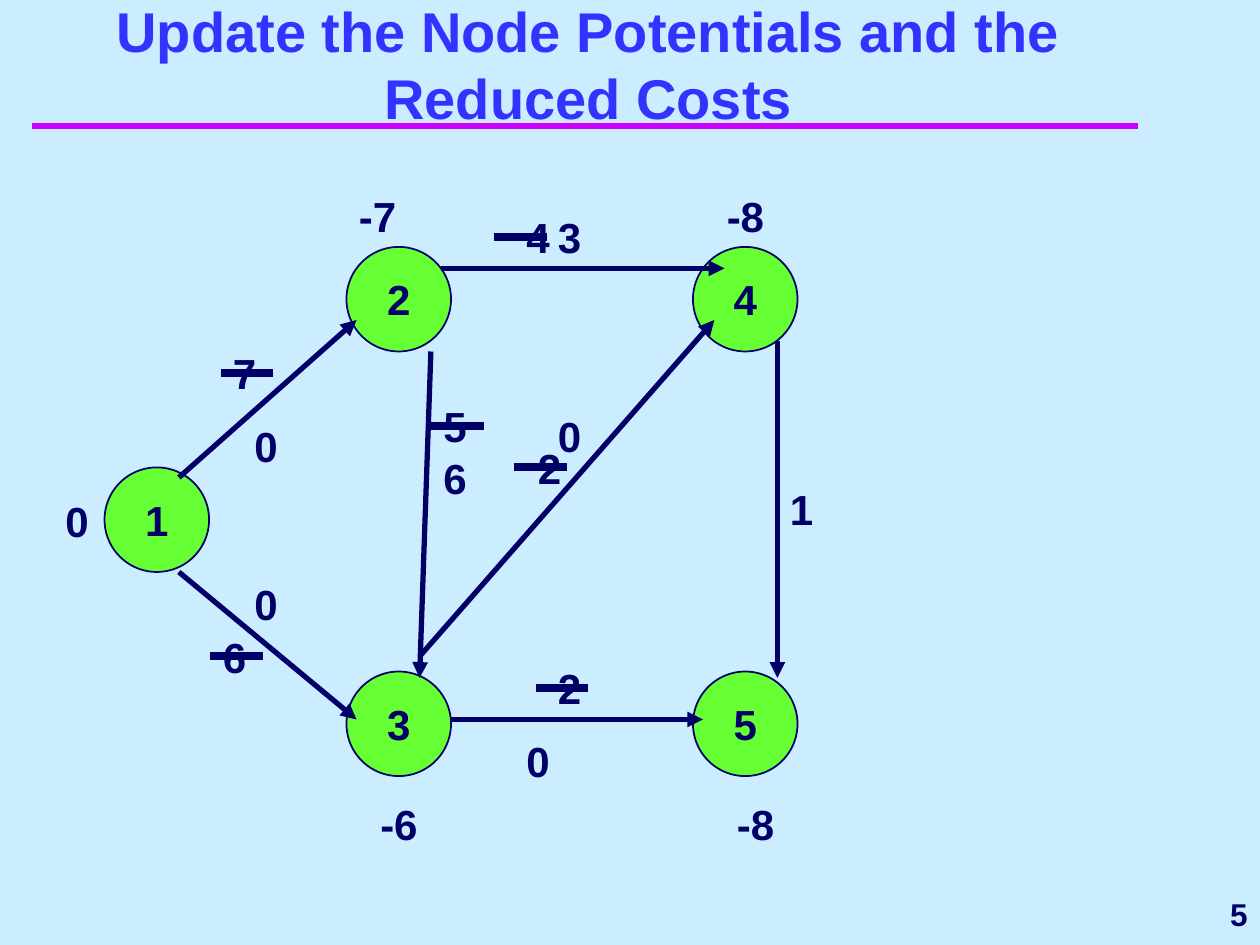
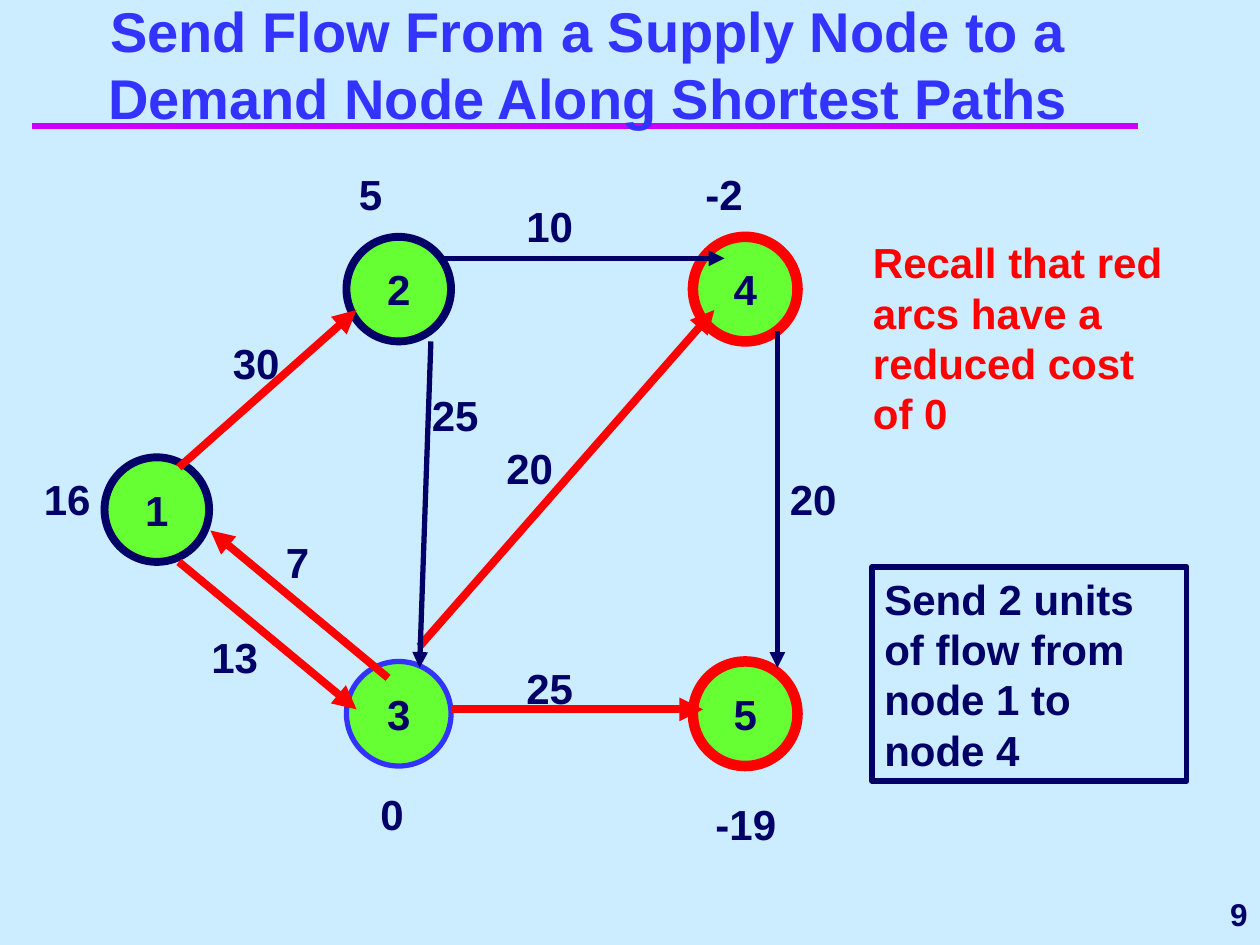
from lxml import etree
from pptx import Presentation
from pptx.dml.color import RGBColor
from pptx.enum.shapes import MSO_CONNECTOR, MSO_SHAPE
from pptx.enum.text import MSO_ANCHOR, PP_ALIGN
from pptx.oxml.ns import qn
from pptx.util import Inches, Pt

STRAIGHT = MSO_CONNECTOR.STRAIGHT
OVAL = MSO_SHAPE.OVAL
RECTANGLE = MSO_SHAPE.RECTANGLE
TOP, MIDDLE, BOTTOM = MSO_ANCHOR.TOP, MSO_ANCHOR.MIDDLE, MSO_ANCHOR.BOTTOM
LEFT, CENTER, RIGHT = PP_ALIGN.LEFT, PP_ALIGN.CENTER, PP_ALIGN.RIGHT

SKY = RGBColor(0xCC, 0xEC, 0xFF)
NAVY = RGBColor(0x00, 0x00, 0x66)
BLUE = RGBColor(0x33, 0x33, 0xFF)
MAGENTA = RGBColor(0xCC, 0x00, 0xFF)
GREEN = RGBColor(0x66, 0xFF, 0x33)
RED = RGBColor(0xFF, 0x00, 0x00)
FONT = "Arial"

NODE_SIZE = 0.83
STRIKE_LENGTH = 0.42
LABEL_HEIGHT = 0.5

NODES = {
    "1": (0, 1.75),
    "2": (1.92, 0),
    "3": (1.92, 3.37),
    "5": (4.67, 3.37),
    "4": (4.67, 0),
}
ARCS = {
    "1-2": (0.59, 1.83, 2, 0.58),
    "2-4": (2.67, 0.17, 4.92, 0.17),
    "4-5": (5.34, 0.75, 5.34, 3.42),
    "3-4": (2.5, 3.25, 4.84, 0.58),
    "1-3": (0.59, 2.58, 2, 3.75),
    "3-5": (2.75, 3.75, 4.75, 3.75),
    "2-3": (2.59, 0.83, 2.5, 3.42),
    "3-1": (2.25, 3.5, 0.84, 2.33),
}
FORWARD_ARCS = [name for name in ARCS if name != "3-1"]

OLD_COSTS = [
    ("4", 3.25, -0.33, 0.42),
    ("1", 5.34, 1.83, 0.42),
    ("2", 3.34, 1.5, 0.58),
    ("2", 3.5, 3.25, 0.58),
    ("5", 2.59, 1.17, 0.67),
    ("6", 0.84, 3, 1.17),
    ("7", 0.92, 0.75, 1.17),
]
POTENTIALS = [
    ("0", -0.41, 1.92, 0.67),
    ("-7", 1.92, -0.5, 0.67),
    ("-8", 4.84, -0.5, 0.67),
    ("-8", 4.92, 4.33, 0.67),
    ("-6", 2.09, 4.33, 0.67),
]
STRIKES = [(0.84, 3.25), (0.92, 1), (2.59, 1.42),
           (3.09, -0.08), (3.25, 1.75), (3.42, 3.5)]
NEW_COSTS = [
    ("0", 1.09, 1.33, 1.17),
    ("0", 1.09, 2.58, 1.17),
    ("0", 3.25, 3.83, 1.17),
    ("0", 3.5, 1.25, 1.17),
    ("6", 2.59, 1.58, 1.17),
    ("3", 3.5, -0.33, 1.17),
]
CAPACITIES = [
    ("10", 3.25, -0.34, 1.17),
    ("20", 5.34, 1.83, 1.17),
    ("20", 3.09, 1.58, 1.17),
    ("25", 3.25, 3.33, 1.17),
    ("25", 2.5, 1.16, 1.17),
    ("30", 0.92, 0.75, 1.17),
    ("13", 0.75, 3.08, 0.67),
    ("7", 1.34, 2.33, 0.67),
]
SUPPLIES = [
    ("5", 1.92, -0.59, 0.75),
    ("-2", 4.67, -0.59, 0.75),
    ("-19", 4.75, 4.41, 0.75),
    ("16", -0.58, 1.83, 0.75),
    ("0", 2.09, 4.33, 0.75),
]
RED_ARCS = {"1-2", "3-4", "1-3", "3-5", "3-1"}
NODE_OUTLINES = {
    "1": (NAVY, 4.5),
    "2": (NAVY, 4.5),
    "3": (BLUE, 3),
    "4": (RED, 6),
    "5": (RED, 6),
}


def write_text(shape, text, size=24, color=NAVY, align=LEFT, anchor=TOP, wrap=True):
    frame = shape.text_frame
    frame.word_wrap = wrap
    frame.vertical_anchor = anchor
    paragraph = frame.paragraphs[0]
    paragraph.alignment = align
    paragraph.text = text
    font = paragraph.font
    font.name, font.size, font.bold = FONT, Pt(size), True
    font.color.rgb = color


def add_text(slide, text, left, top, width, height, **text_format):
    box = slide.shapes.add_textbox(*map(Inches, (left, top, width, height)))
    write_text(box, text, **text_format)


def add_outlined_shape(slide, kind, left, top, width, height, color, weight):
    shape = slide.shapes.add_shape(kind, *map(Inches, (left, top, width, height)))
    shape.shadow.inherit = False
    shape.fill.background()
    shape.line.color.rgb = color
    shape.line.width = Pt(weight)
    return shape


def add_line(slide, start_x, start_y, end_x, end_y, color=NAVY, weight=3, arrow=False):
    ends = map(Inches, (start_x, start_y, end_x, end_y))
    connector = slide.shapes.add_connector(STRAIGHT, *ends)
    connector.line.color.rgb = color
    connector.line.width = Pt(weight)
    properties = connector._element.spPr
    if arrow:
        line = properties.find(qn("a:ln"))
        etree.SubElement(line, qn("a:tailEnd"), type="triangle")
    etree.SubElement(properties, qn("a:effectLst"))


def add_framed_slide(presentation, title, number):
    slide = presentation.slides.add_slide(presentation.slide_layouts[6])
    add_line(slide, 0.25, 1, 9.03, 1, color=MAGENTA, weight=4)
    add_text(slide, number, 8.08, 7, 1.92, 0.5, size=18, align=RIGHT, anchor=MIDDLE)
    add_text(slide, title, 0.42, 0.67, 8.5, 0.42,
             size=32, color=BLUE, align=CENTER, anchor=BOTTOM)
    return slide


def add_network(slide, left, top, arc_names, red_arcs=(), outlines=None):
    for name, (x, y) in NODES.items():
        color, weight = outlines[name] if outlines else (NAVY, 1)
        node = add_outlined_shape(slide, OVAL, left + x, top + y,
                                  NODE_SIZE, NODE_SIZE, color, weight)
        node.fill.solid()
        node.fill.fore_color.rgb = GREEN
        write_text(node, name, align=CENTER, anchor=MIDDLE, wrap=False)
    for name in arc_names:
        start_x, start_y, end_x, end_y = ARCS[name]
        color, weight = (RED, 4.5) if name in red_arcs else (NAVY, 3)
        add_line(slide, left + start_x, top + start_y, left + end_x, top + end_y,
                 color=color, weight=weight, arrow=True)


def add_labels(slide, left, top, labels):
    for text, x, y, width in labels:
        add_text(slide, text, left + x, top + y, width, LABEL_HEIGHT)


def add_strikes(slide, left, top):
    for x, y in STRIKES:
        add_line(slide, left + x, top + y, left + x + STRIKE_LENGTH, top + y, weight=4.5)


def add_flow_notes(slide, left, top):
    add_text(slide, "Recall that red arcs have a reduced cost of 0",
             left, top, 2.67, 1.7, color=RED)
    step = add_outlined_shape(slide, RECTANGLE, left + 0.09, top + 2.67,
                              2.5, 1.7, NAVY, 3)
    write_text(step, "Send 2 units of flow from node 1 to node 4")


def build_potentials_slide(presentation):
    slide = add_framed_slide(
        presentation, "Update the Node Potentials and the Reduced Costs", "5")
    origin = (0.83, 1.96)
    add_network(slide, *origin, FORWARD_ARCS)
    add_labels(slide, *origin, OLD_COSTS + POTENTIALS)
    add_strikes(slide, *origin)
    add_labels(slide, *origin, NEW_COSTS)


def build_flow_slide(presentation):
    slide = add_framed_slide(
        presentation,
        "Send Flow From a Supply Node to a Demand Node Along Shortest Paths", "9")
    origin = (0.83, 1.88)
    add_network(slide, *origin, ARCS, RED_ARCS, NODE_OUTLINES)
    add_labels(slide, *origin, CAPACITIES + SUPPLIES)
    add_flow_notes(slide, 6.83, 1.83)


def main():
    presentation = Presentation()
    presentation.slide_width = Inches(10)
    presentation.slide_height = Inches(7.5)
    background = presentation.slide_master.background.fill
    background.solid()
    background.fore_color.rgb = SKY
    build_potentials_slide(presentation)
    build_flow_slide(presentation)
    presentation.save("out.pptx")


if __name__ == "__main__":
    main()
